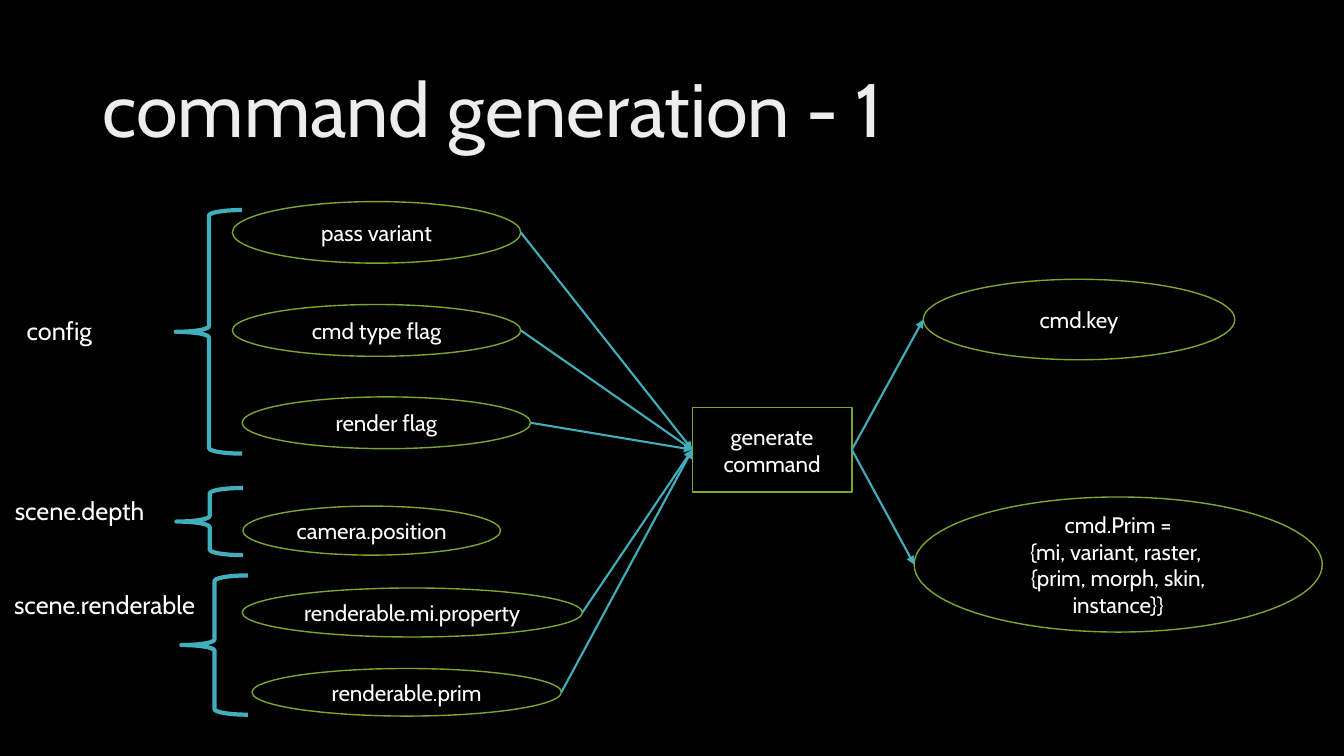
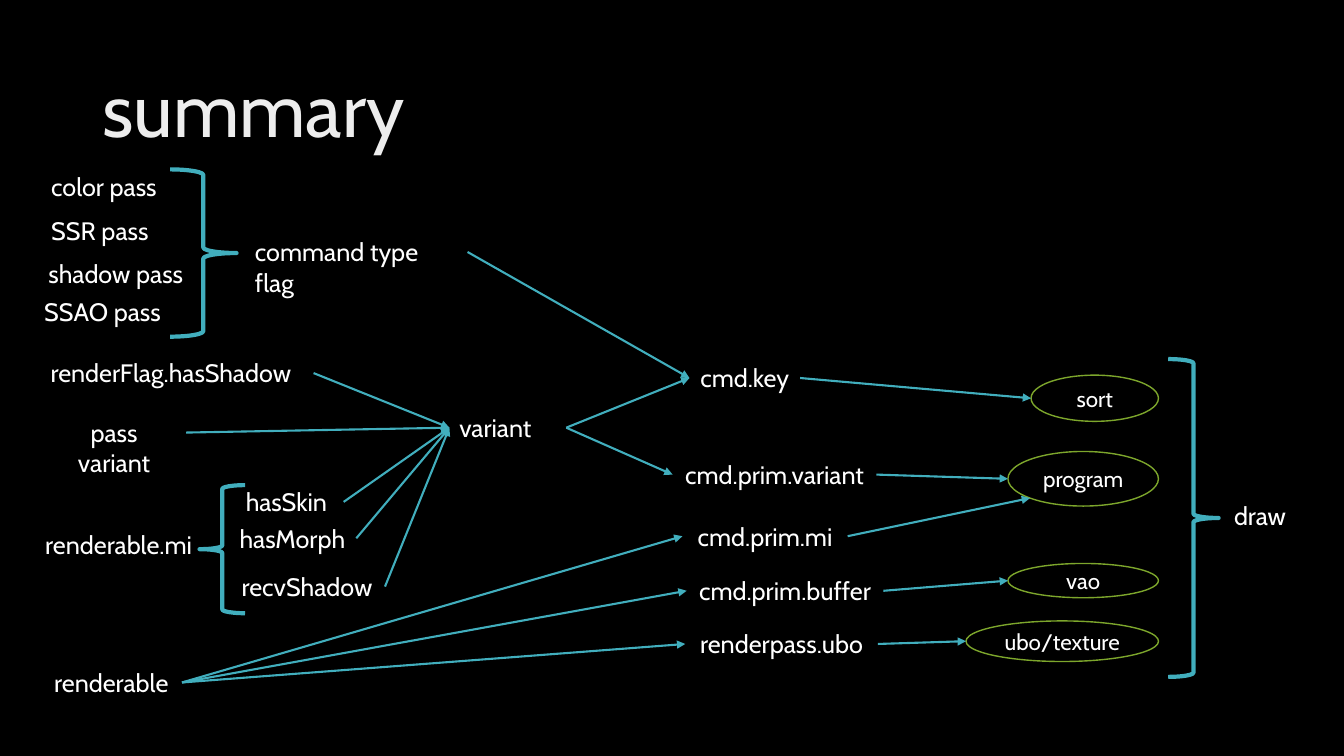
from math import sqrt

from lxml import etree
from pptx import Presentation
from pptx.dml.color import RGBColor
from pptx.enum.shapes import MSO_CONNECTOR, MSO_SHAPE
from pptx.enum.text import MSO_ANCHOR, MSO_AUTO_SIZE, PP_ALIGN
from pptx.oxml.ns import qn
from pptx.util import Pt

ELLIPSE = MSO_SHAPE.OVAL
RECTANGLE = MSO_SHAPE.RECTANGLE
BRACE = MSO_SHAPE.RIGHT_BRACE
STRAIGHT = MSO_CONNECTOR.STRAIGHT
LEFT = PP_ALIGN.LEFT
CENTER = PP_ALIGN.CENTER
TOP = MSO_ANCHOR.TOP
MIDDLE = MSO_ANCHOR.MIDDLE
NO_AUTOFIT = MSO_AUTO_SIZE.NONE

FONT = "Cabin"
BLACK = "000000"
WHITE = "FFFFFF"
GREEN = "7DA62C"
TEAL = "41AEBD"
TITLE_STOPS = [(0, "BFBFBF"), (28, "EDEDED"), (100, "FFFFFF")]
LABEL_HEIGHT = 29
DIAGONAL = sqrt(0.5) / 2
SITES = {
    "left": (0, 0.5, 1, 2),
    "right": (1, 0.5, 3, 6),
    "bottom left": (0.5 - DIAGONAL, 0.5 + DIAGONAL, None, 3),
}


def set_color(color_format, hex_color):
    color_format.rgb = RGBColor.from_string(hex_color)


def set_line(line, hex_color, width):
    line.fill.solid()
    set_color(line.fill.fore_color, hex_color)
    line.width = Pt(width)


def write(shape, text, size, align, anchor):
    frame = shape.text_frame
    frame.text = text
    frame.word_wrap = True
    frame.auto_size = NO_AUTOFIT
    frame.vertical_anchor = anchor
    for paragraph in frame.paragraphs:
        paragraph.alignment = align
        for run in paragraph.runs:
            run.font.size = Pt(size)
            run.font.name = FONT
            set_color(run.font.color, WHITE)


def add_gradient(run):
    run.font.fill.gradient()
    run.font.fill.gradient_angle = 280
    stops = run._r.find(".//" + qn("a:gsLst"))
    stops.clear()
    for position, hex_color in TITLE_STOPS:
        stop = etree.SubElement(stops, qn("a:gs"), pos=str(position * 1000))
        etree.SubElement(stop, qn("a:srgbClr"), val=hex_color)


def add_titled_slide(presentation, text):
    slide = presentation.slides.add_slide(presentation.slide_layouts[5])
    title = slide.shapes.title
    title.left, title.top, title.width, title.height = Pt(66), Pt(29), Pt(828), Pt(104)
    write(title, text, 54, LEFT, MIDDLE)
    paragraph = title.text_frame.paragraphs[0]
    paragraph.line_spacing = 0.9
    add_gradient(paragraph.runs[0])
    return slide


class Region:
    def __init__(self, slide, left, top):
        self.shapes = slide.shapes
        self.left = left
        self.top = top

    def place(self, left, top, width, height):
        return Pt(self.left + left), Pt(self.top + top), Pt(width), Pt(height)

    def node(self, text, left, top, width, height, kind=ELLIPSE):
        shape = self.shapes.add_shape(kind, *self.place(left, top, width, height))
        shape.shadow.inherit = False
        shape.fill.background()
        set_line(shape.line, GREEN, 1)
        write(shape, text, 16, CENTER, MIDDLE)
        return shape

    def label(self, text, left, top, width, align=LEFT):
        shape = self.shapes.add_textbox(*self.place(left, top, width, LABEL_HEIGHT))
        write(shape, text, 18, align, TOP)
        return shape

    def brace(self, left, top, width, height, rotation=0):
        shape = self.shapes.add_shape(BRACE, *self.place(left, top, width, height))
        shape.shadow.inherit = False
        shape.fill.background()
        shape.rotation = rotation
        set_line(shape.line, TEAL, 3)


def is_ellipse(shape):
    return shape._element.spPr.find(qn("a:prstGeom")).get("prst") == "ellipse"


def site(shape, side):
    across, down, rectangle_index, ellipse_index = SITES[side]
    index = ellipse_index if is_ellipse(shape) else rectangle_index
    x = round(shape.left + shape.width * across)
    y = round(shape.top + shape.height * down)
    return x, y, index


def link(slide, source, target, target_side="left"):
    start_x, start_y, start_index = site(source, "right")
    end_x, end_y, end_index = site(target, target_side)
    connector = slide.shapes.add_connector(STRAIGHT, start_x, start_y, end_x, end_y)
    set_line(connector.line, TEAL, 1.5)
    properties = connector._element.spPr
    etree.SubElement(properties.find(qn("a:ln")), qn("a:tailEnd"), type="triangle")
    etree.SubElement(properties, qn("a:effectLst"))
    ends = connector._element.find(".//" + qn("p:cNvCxnSpPr"))
    for tag, shape, index in (("a:stCxn", source, start_index), ("a:endCxn", target, end_index)):
        etree.SubElement(ends, qn(tag), id=str(shape.shape_id), idx=str(index))


def add_inputs(slide, left, top):
    region = Region(slide, left, top)
    region.label("config", 9, 78, 61.5)
    region.label("scene.depth", 0.5, 206, 147)
    region.label("scene.renderable", 0, 273.5, 147)
    region.brace(122.5, 6, 47.5, 174, 180)
    region.brace(123, 204.5, 47.5, 48, 180)
    region.brace(126.5, 267, 47.5, 99.5, 180)
    region.node("camera.position", 170.5, 217.5, 184, 35)
    return [
        region.node("pass variant", 163, 0, 206, 44),
        region.node("cmd type flag", 163, 73.5, 206, 37),
        region.node("render flag", 170, 139.5, 206, 37),
        region.node("renderable.mi.property", 170, 276, 243, 35),
        region.node("renderable.prim", 177, 333.5, 221, 34),
    ]


def add_outputs(slide, left, top):
    region = Region(slide, left, top)
    return [
        region.node("cmd.key", 6.5, 0, 222.5, 57.5),
        region.node(
            "cmd.Prim =\n{mi, variant, raster, \n{prim, morph, skin, instance}}",
            0, 155.5, 291.5, 96.5,
        ),
    ]


def add_passes(slide, left, top):
    region = Region(slide, left, top)
    region.label("color pass", 5, 0, 119)
    region.label("SSR pass", 5, 31, 86)
    region.label("shadow pass", 3, 62, 119)
    region.label("SSAO pass", 0, 89, 120)
    region.brace(97, 2, 47.5, 119.5)
    return region.label("command type flag", 150.5, 46.5, 159)


def add_variant_sources(slide, left, top):
    region = Region(slide, left, top)
    region.label("renderable.mi", 0, 122.5, 124.5, CENTER)
    region.brace(120, 94.5, 32.5, 91.5, 180)
    return [
        region.label("renderFlag.hasShadow", 6.5, 0, 195),
        region.label("pass variant", 7.5, 42.5, 103, CENTER),
        region.label("hasSkin", 146, 92, 77),
        region.label("hasMorph", 141.5, 118, 90.5),
        region.label("recvShadow", 143, 152.5, 109.5),
    ]


def add_commands(slide, left, top):
    region = Region(slide, left, top)
    return [
        region.label("cmd.key", 12, 0, 79, CENTER),
        region.label("cmd.prim.variant", 0, 69, 145.5, CENTER),
        region.label("cmd.prim.mi", 7, 113, 118, CENTER),
        region.label("cmd.prim.buffer", 10, 152, 140.5, CENTER),
        region.label("renderpass.ubo", 9, 190, 137.5, CENTER),
    ]


def add_draw_steps(slide, left, top):
    region = Region(slide, left, top)
    region.brace(144.5, 0, 36, 227)
    region.label("draw", 178.5, 97.5, 63, CENTER)
    return [
        region.node("sort", 46.5, 11.5, 91, 33),
        region.node("program", 30, 66, 107.5, 39),
        region.node("vao", 30, 146, 107.5, 24.5),
        region.node("ubo/texture", 0, 187, 137.5, 29),
    ]


def build_generation(presentation):
    slide = add_titled_slide(presentation, "command generation - 1")
    inputs = add_inputs(slide, 3, 144)
    generator = Region(slide, 494.5, 291).node("generate\ncommand", 0, 0, 114, 60.5, RECTANGLE)
    for source in inputs:
        link(slide, source, generator)
    for target in add_outputs(slide, 653, 199.5):
        link(slide, generator, target)


def build_summary(presentation):
    slide = add_titled_slide(presentation, "summary")
    type_flag = add_passes(slide, 24.5, 119)
    variant_sources = add_variant_sources(slide, 22.5, 252)
    variant = Region(slide, 321, 291).label("variant", 0, 0, 83.5)
    renderable = Region(slide, 29, 473).label("renderable", 0, 0, 101, CENTER)
    key, prim_variant, prim_mi, prim_buffer, pass_ubo = add_commands(slide, 480.5, 255.5)
    sort, program, vao, texture = add_draw_steps(slide, 690, 256.5)

    for source in variant_sources:
        link(slide, source, variant)
    for source, target in (
        (type_flag, key),
        (variant, key),
        (variant, prim_variant),
        (renderable, prim_mi),
        (renderable, prim_buffer),
        (renderable, pass_ubo),
        (key, sort),
        (prim_variant, program),
        (prim_buffer, vao),
        (pass_ubo, texture),
    ):
        link(slide, source, target)
    link(slide, prim_mi, program, "bottom left")


def main():
    presentation = Presentation()
    presentation.slide_width = Pt(960)
    presentation.slide_height = Pt(540)
    background = presentation.slide_master.background.fill
    background.solid()
    set_color(background.fore_color, BLACK)
    build_generation(presentation)
    build_summary(presentation)
    presentation.save("out.pptx")


if __name__ == "__main__":
    main()
